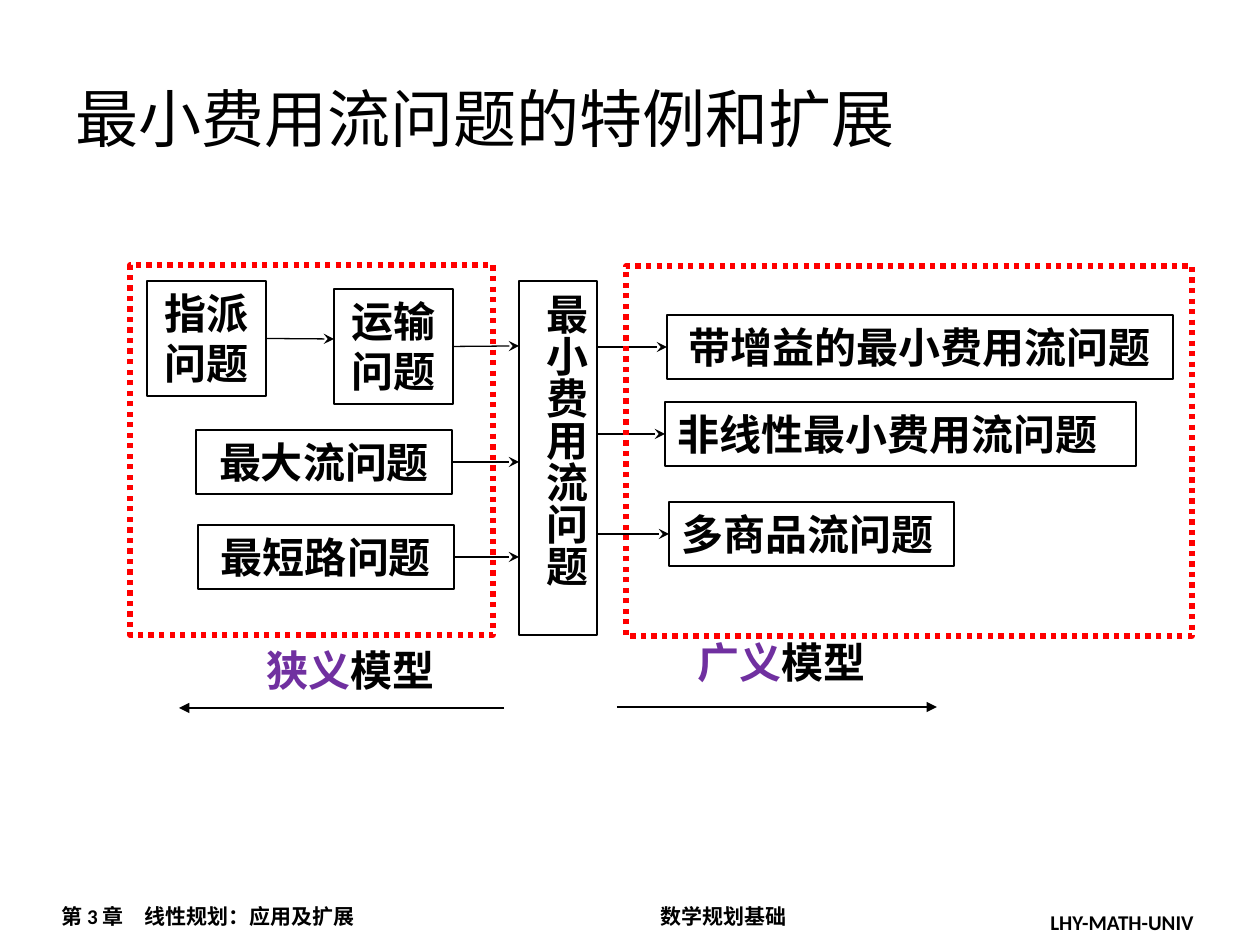
"""Build the slide on special cases and extensions of minimum cost flow."""
from lxml.etree import SubElement
from pptx import Presentation
from pptx.dml.color import RGBColor
from pptx.enum.dml import MSO_LINE
from pptx.enum.lang import MSO_LANGUAGE_ID
from pptx.enum.shapes import MSO_CONNECTOR, MSO_SHAPE
from pptx.enum.text import MSO_ANCHOR, MSO_AUTO_SIZE, PP_ALIGN
from pptx.oxml.ns import qn
from pptx.util import Pt

PX = 914400 / 126
COLORS = {"ink": "000000", "accent": "7030A0", "frame": "FF0000"}
HEADING = {"size": Pt(36), "name": "Calibri", "bold": False}
FOOTER = {"size": Pt(12), "name": "Calibri", "bold": True}
LABEL = {"size": Pt(24), "name": "Times New Roman", "bold": True}


def write(box, spans, style, align=PP_ALIGN.LEFT, anchor=MSO_ANCHOR.TOP):
    frame = box.text_frame
    settings = {"word_wrap": True, "vertical_anchor": anchor, "auto_size": MSO_AUTO_SIZE.NONE}
    for name, value in settings.items():
        setattr(frame, name, value)
    para = frame.paragraphs[0]
    para.alignment = align
    for text, color in spans:
        span = para.add_run()
        span.text = text
        for name, value in style.items():
            setattr(span.font, name, value)
        span.font.language_id = MSO_LANGUAGE_ID.SIMPLIFIED_CHINESE
        span.font.color.rgb = RGBColor.from_string(COLORS[color])


def draw_arrow(start, end, head):
    arrow = page.shapes.add_connector(
        MSO_CONNECTOR.STRAIGHT, *[round(value * PX) for value in (*start, *end)])
    arrow.line.width = Pt(0.75)
    arrow.line.color.rgb = RGBColor.from_string(COLORS["ink"])
    SubElement(arrow.line._get_or_add_ln(), qn("a:tailEnd"), type=head)
    SubElement(arrow._element.spPr, qn("a:effectLst"))
    return arrow


deck = Presentation()
deck.slide_width, deck.slide_height = round(1260 * PX), round(945 * PX)
page = deck.slides.add_slide(deck.slide_layouts[6])

captions = [
    ([("第 3 章　线性规划：应用及扩展", "ink")], (49, 897, 359, 38), FOOTER, PP_ALIGN.LEFT, MSO_ANCHOR.TOP),
    ([("LHY-MATH-UNIV", "ink")], (1038, 903, 217, 38), FOOTER, PP_ALIGN.LEFT, MSO_ANCHOR.TOP),
    ([("数学规划基础", "ink")], (648, 897, 280, 38), FOOTER, PP_ALIGN.LEFT, MSO_ANCHOR.TOP),
    ([("最小费用流问题的特例和扩展", "ink")], (63, 38, 1134, 158), HEADING, PP_ALIGN.LEFT, MSO_ANCHOR.MIDDLE),
    ([("狭义", "accent"), ("模型", "ink")], (236, 638, 229, 63), LABEL, PP_ALIGN.CENTER, MSO_ANCHOR.TOP),
    ([("广义", "accent"), ("模型", "ink")], (667, 630, 229, 63), LABEL, PP_ALIGN.CENTER, MSO_ANCHOR.TOP),
]
for spans, place, style, align, anchor in captions:
    box = page.shapes.add_textbox(*[round(value * PX) for value in place])
    write(box, spans, style, align, anchor)

problems = [
    ("最小费用流问题", (519, 281, 78, 354), PP_ALIGN.CENTER),
    ("指派问题", (147, 281, 119, 115), PP_ALIGN.CENTER),
    ("运输问题", (334, 289, 119, 115), PP_ALIGN.CENTER),
    ("最大流问题", (196, 430, 256, 64), PP_ALIGN.CENTER),
    ("最短路问题", (198, 525, 256, 64), PP_ALIGN.CENTER),
    ("带增益的最小费用流问题", (667, 315, 506, 64), PP_ALIGN.CENTER),
    ("非线性最小费用流问题", (665, 402, 471, 64), PP_ALIGN.LEFT),
    ("多商品流问题", (669, 502, 285, 64), PP_ALIGN.LEFT),
]
boxes = {}
for text, place, align in problems:
    box = page.shapes.add_shape(MSO_SHAPE.RECTANGLE, *[round(value * PX) for value in place])
    box.shadow.inherit = False
    box.fill.background()
    box.line.width = Pt(0.75)
    box.line.color.rgb = RGBColor.from_string(COLORS["ink"])
    write(box, [(text, "ink")], LABEL, align)
    boxes[text] = box
core = boxes["最小费用流问题"]
core.text_frame._txBody.bodyPr.set("vert", "eaVert")
core.text_frame.auto_size = MSO_AUTO_SIZE.SHAPE_TO_FIT_TEXT

for text, end_x, y in [("指派问题", 334, 339), ("运输问题", 519, 346),
                       ("最大流问题", 519, 462), ("最短路问题", 519, 557)]:
    arrow = draw_arrow((453, y), (end_x, y), "stealth")
    arrow.begin_connect(boxes[text], 3)

for text, y in [("带增益的最小费用流问题", 347), ("非线性最小费用流问题", 434), ("多商品流问题", 534)]:
    arrow = draw_arrow((598, y), (665, y), "stealth")
    arrow.end_connect(boxes[text], 1)

for start_x, end_x, y in [(504, 179, 708), (617, 937, 707)]:
    draw_arrow((start_x, y), (end_x, y), "triangle")

for place in [(130, 265, 363, 370), (626, 266, 566, 370)]:
    scope = page.shapes.add_shape(MSO_SHAPE.RECTANGLE, *[round(value * PX) for value in place])
    scope.shadow.inherit = False
    scope.fill.background()
    scope.line.width = Pt(3)
    scope.line.color.rgb = RGBColor.from_string(COLORS["frame"])
    scope.line.dash_style = MSO_LINE.ROUND_DOT

deck.save("out.pptx")
